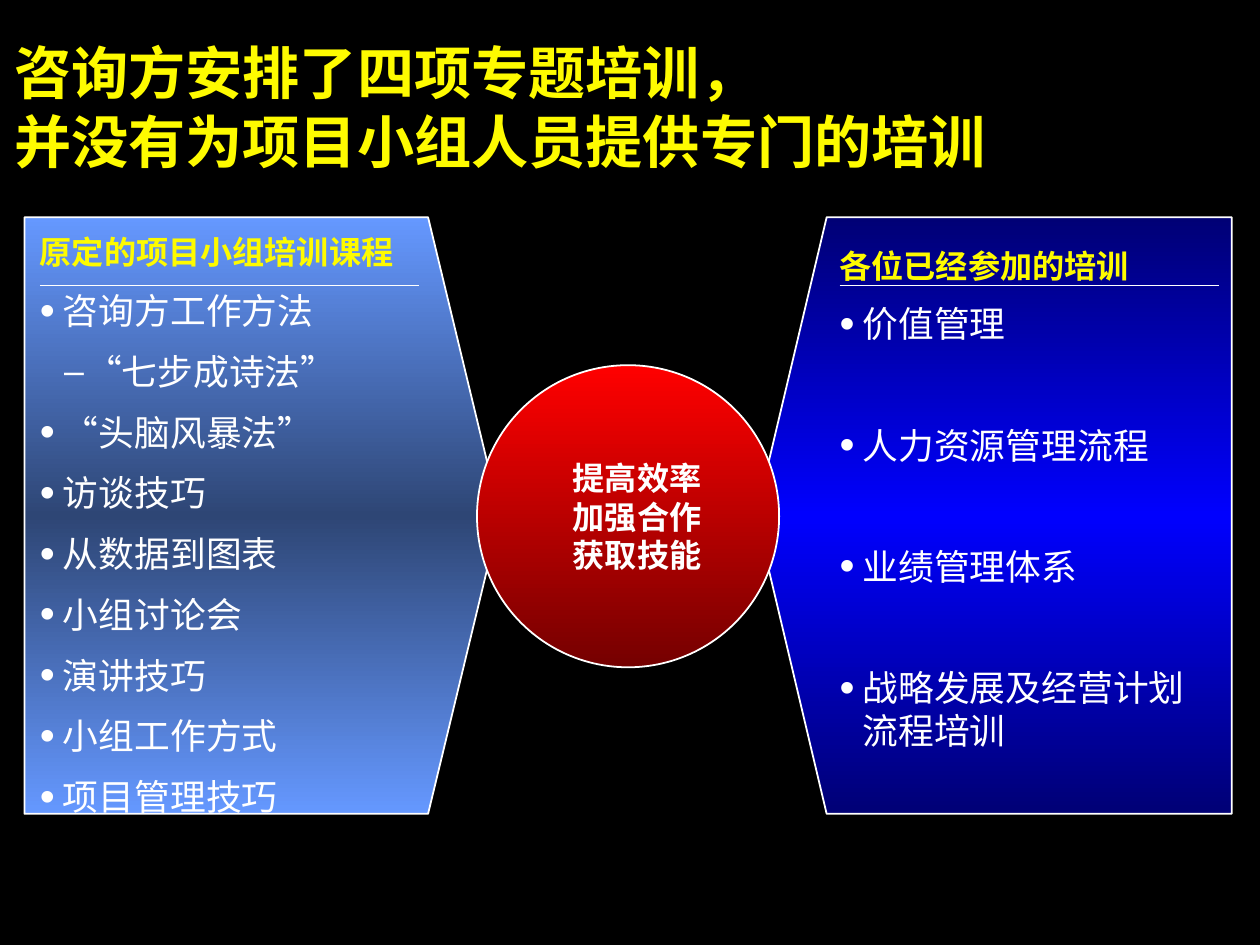
from dataclasses import dataclass

from lxml import etree
from pptx import Presentation
from pptx import util as u
from pptx.dml.color import RGBColor
from pptx.enum import shapes, text
from pptx.oxml import ns

COLORS = {
    "back": "000000", "white": "FFFFFF", "gold": "FEFB00",
    "sky": "6598FF", "slate": "2E4675",
    "navy": "000075", "blue": "0000FE",
    "red": "FF0000", "wine": "750000",
}
HEAD, BODY = "Arial", "Noto Sans CJK SC"
LINE = 1.2  # line pitch in ems
DROP = 0.1  # top inset in ems


@dataclass
class Item:
    text: str
    level: int = 1


@dataclass
class Panel:
    edge: float        # outer side
    neck: float        # where the slope starts
    tip: float         # inner point
    fill: list[str]
    left: float        # text and rule
    head: str
    head_top: float
    body_top: float
    body_high: float
    gap: float         # points after each item
    items: list[Item]


def rgb(name: str) -> RGBColor:
    return RGBColor.from_string(COLORS[name])


def add_sub(parent, tag: str, **attrs: str):
    return etree.SubElement(parent, ns.qn(tag), attrs)


def add_mark(par, level: int) -> None:
    """Bullet and hanging indent of one list item."""
    props = par._p.get_or_add_pPr()
    left, hang = (0.18, 0.18) if level == 1 else (0.36, 0.17)
    props.set("marL", str(u.Inches(left)))
    props.set("indent", str(-u.Inches(hang)))
    add_sub(add_sub(props, "a:buClr"), "a:srgbClr", val=COLORS["white"])
    add_sub(props, "a:buSzPct", val="120000" if level == 1 else "100000")
    add_sub(props, "a:buFont", typeface=HEAD)
    add_sub(props, "a:buChar", char="•" if level == 1 else "–")


def add_text(slide, items: list[Item], box: tuple[float, ...], *, size: int,
             color: str = "white", bold: bool = False, font: str = HEAD,
             align=text.PP_ALIGN.LEFT, gap: float = 0,
             marks: bool = False) -> None:
    frame = slide.shapes.add_textbox(*map(u.Inches, box)).text_frame
    frame.word_wrap = True
    frame.margin_left = frame.margin_right = frame.margin_bottom = 0
    frame.margin_top = u.Pt(size * DROP)
    for i, item in enumerate(items):
        par = frame.paragraphs[0] if i == 0 else frame.add_paragraph()
        par.alignment = align
        par.line_spacing = u.Pt(size * LINE)
        par.space_after = u.Pt(gap)
        if marks:
            add_mark(par, item.level)
        par.text = item.text
        for run in par.runs:
            run.font.name, run.font.size = font, u.Pt(size)
            run.font.bold = bold
            run.font.color.rgb = rgb(color)
            add_sub(run._r.get_or_add_rPr(), "a:ea", typeface=BODY)


def paint(shape, names: list[str]) -> None:
    """Top-down gradient with a white outline."""
    shape.fill.gradient()
    shape.fill.gradient_angle = 270
    stops = shape._element.spPr.find(".//" + ns.qn("a:gsLst"))
    for stop in list(stops):
        stops.remove(stop)
    for i, name in enumerate(names):
        stop = add_sub(stops, "a:gs", pos=str(100000 * i // (len(names) - 1)))
        add_sub(stop, "a:srgbClr", val=COLORS[name])
    shape.line.color.rgb = rgb("white")
    shape.line.width = u.Pt(1)
    shape.shadow.inherit = False


def add_side(slide, panel: Panel) -> None:
    top, mid, low = 1.69, 4.01, 6.33
    points = [(panel.edge, top), (panel.neck, top), (panel.tip, mid),
              (panel.neck, low), (panel.edge, low)]
    spots = [(u.Inches(x), u.Inches(y)) for x, y in points]
    build = slide.shapes.build_freeform(*spots[0])
    build.add_line_segments(spots[1:], close=True)
    paint(build.convert_to_shape(), panel.fill)


def add_list(slide, panel: Panel) -> None:
    add_text(slide, panel.items,
             (panel.left, panel.body_top, 2.91, panel.body_high),
             size=20, font=BODY, gap=panel.gap, marks=True)
    add_text(slide, [Item(panel.head)],
             (panel.left, panel.head_top, 2.91, 0.3),
             size=18, color="gold", bold=True)
    rule = slide.shapes.add_connector(
        shapes.MSO_CONNECTOR.STRAIGHT, u.Inches(panel.left), u.Inches(2.22),
        u.Inches(panel.left + 2.95), u.Inches(2.22))
    rule.line.color.rgb = rgb("white")
    rule.line.width = u.Pt(1)
    add_sub(rule._element.spPr, "a:effectLst")


PANELS = [
    Panel(0.19, 3.33, 3.89, ["sky", "slate", "sky"], 0.31,
          "原定的项目小组培训课程", 1.78, 2.22, 4.11, 10,
          [Item("咨询方工作方法"), Item("“七步成诗法”", 2),
           Item("“头脑风暴法”"), Item("访谈技巧"), Item("从数据到图表"),
           Item("小组讨论会"), Item("演讲技巧"), Item("小组工作方式"),
           Item("项目管理技巧")]),
    Panel(9.58, 6.43, 5.88, ["navy", "blue", "navy"], 6.53,
          "各位已经参加的培训", 1.89, 2.32, 3.62, 44,
          [Item("价值管理"), Item("人力资源管理流程"), Item("业绩管理体系"),
           Item("战略发展及经营计划流程培训")]),
]


def main() -> None:
    deck = Presentation()
    deck.slide_width, deck.slide_height = u.Inches(9.8), u.Inches(7.35)
    slide = deck.slides.add_slide(deck.slide_layouts[6])
    slide.background.fill.solid()
    slide.background.fill.fore_color.rgb = rgb("back")

    # Side panels and the circle over their tips
    for panel in PANELS:
        add_side(slide, panel)
    disc = slide.shapes.add_shape(
        shapes.MSO_SHAPE.OVAL, *map(u.Inches, (3.71, 2.84, 2.35, 2.35)))
    paint(disc, ["red", "wine"])

    # Title
    add_text(slide, [Item("咨询方安排了四项专题培训，\v并没有为项目小组人员提供专门的培训")],
             (0.11, 0.25, 8.76, 1.07), size=32, color="gold", bold=True)

    # Panel text
    for panel in PANELS:
        add_list(slide, panel)

    # Circle text
    goals = ["提高效率", "加强合作", "获取技能"]
    add_text(slide, [Item(goal) for goal in goals], (4.11, 3.54, 1.69, 0.9),
             size=18, bold=True, align=text.PP_ALIGN.CENTER)

    deck.save("out.pptx")


if __name__ == "__main__":
    main()
